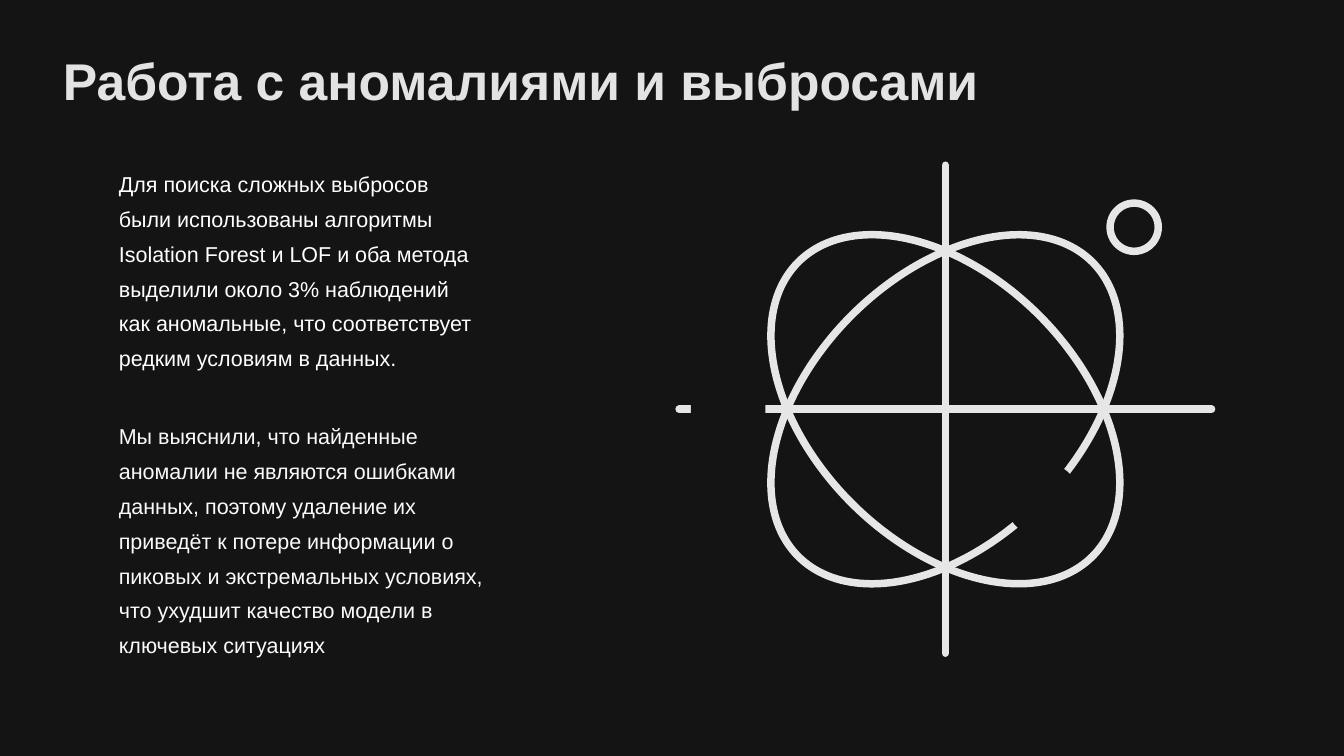
from lxml.etree import SubElement
from pptx import Presentation
from pptx.dml.color import RGBColor
from pptx.enum.shapes import MSO_CONNECTOR, MSO_SHAPE
from pptx.enum.text import MSO_ANCHOR, MSO_AUTO_SIZE, PP_ALIGN
from pptx.oxml.ns import qn
from pptx.util import Pt

BACKGROUND = "141414"
STROKE = "E6E6E6"
STROKE_WIDTH = 8.71
HALO_WIDTH = 47.68
HEADING = "Работа с аномалиями и выбросами"
METHODS = (
    "Для поиска сложных выбросов были использованы алгоритмы Isolation Forest и LOF "
    "и оба метода выделили около 3% наблюдений как аномальные, что соответствует "
    "редким условиям в данных."
)
CONCLUSION = (
    "Мы выяснили, что найденные аномалии не являются ошибками данных, поэтому удаление "
    "их приведёт к потере информации о пиковых и экстремальных условиях, что ухудшит "
    "качество модели в ключевых ситуациях"
)


def color(hex_value):
    """Turn a hex string into a colour."""
    return RGBColor.from_string(hex_value)


def write_text(holder, box, wording, size, hex_value, spacing, bold=False):
    """Place a text placeholder in its box and format its one paragraph."""
    holder.left, holder.top, holder.width, holder.height = map(Pt, box)
    frame = holder.text_frame
    frame.text = wording
    frame.word_wrap = True
    frame.auto_size = MSO_AUTO_SIZE.NONE
    frame.vertical_anchor = MSO_ANCHOR.TOP
    frame.margin_left = frame.margin_right = Pt(7.2)
    frame.margin_top = frame.margin_bottom = Pt(7.2)
    paragraph = frame.paragraphs[0]
    paragraph.alignment = PP_ALIGN.LEFT
    paragraph.line_spacing = spacing
    paragraph.space_before = paragraph.space_after = Pt(0)
    properties = paragraph._p.get_or_add_pPr()
    properties.set("marL", "0")
    properties.set("indent", "0")
    SubElement(properties, qn("a:buNone"))
    font = paragraph.runs[0].font
    font.name, font.size, font.bold = "Arial", Pt(size), bold
    font.color.rgb = color(hex_value)


def add_oval(slide, center, size, rotation=0):
    """Draw an outlined oval around a centre."""
    (x, y), (width, height) = center, size
    oval = slide.shapes.add_shape(
        MSO_SHAPE.OVAL, Pt(x - width / 2), Pt(y - height / 2), Pt(width), Pt(height)
    )
    oval.shadow.inherit = False
    oval.rotation = rotation
    oval.fill.background()
    oval.line.color.rgb = color(STROKE)
    oval.line.width = Pt(STROKE_WIDTH)
    return oval


def add_gap(slide, center):
    """Draw a dot whose wide dark halo interrupts the lines beneath it."""
    dot = add_oval(slide, center, (39.5, 39.5))
    dot.fill.solid()
    dot.fill.fore_color.rgb = color(STROKE)
    dot.line.color.rgb = color(BACKGROUND)
    dot.line.width = Pt(HALO_WIDTH)


def add_axis(slide, start, end):
    """Draw a straight axis with round ends."""
    axis = slide.shapes.add_connector(MSO_CONNECTOR.STRAIGHT, *map(Pt, (*start, *end)))
    axis.line.color.rgb = color(STROKE)
    axis.line.width = Pt(STROKE_WIDTH)
    axis.line._get_or_add_ln().set("cap", "rnd")
    SubElement(axis._element.spPr, qn("a:effectLst"))


def draw_orbits(slide, box):
    """Draw crossed orbits, axes, gaps and the outlying ring in the box."""
    left, top, width, height = box
    x, y = left + width / 2, top + height / 2
    for rotation in (45, -45):
        add_oval(slide, (x, y), (483.6, 308.5), rotation)
    add_gap(slide, (x + 113, y + 105))
    add_oval(slide, (x + 219.5, y - 211.5), (56, 56))
    add_axis(slide, (left + width, y), (left, y))
    add_axis(slide, (x, top), (x, top + height))
    add_gap(slide, (x - 252.5, y))


def build_slide(deck):
    """Build the slide with its heading, two texts and orbit drawing."""
    slide = deck.slides.add_slide(deck.slide_layouts[3])
    slide.background.fill.solid()
    slide.background.fill.fore_color.rgb = color(BACKGROUND)
    heading, methods, conclusion = slide.placeholders
    write_text(heading, (66, 38.5, 1100, 153), HEADING, 60, "E3E3E3", 1.15, bold=True)
    write_text(methods, (131, 181, 434, 250), METHODS, 25, "FFFFFF", 1.35)
    write_text(conclusion, (131, 474, 466, 292), CONCLUSION, 25, "FAFAFA", 1.35)
    draw_orbits(slide, (789.5, 192, 619, 567))


def main():
    """Create and save the presentation."""
    deck = Presentation()
    deck.slide_width, deck.slide_height = Pt(1562.4), Pt(878.4)
    build_slide(deck)
    deck.save("out.pptx")


if __name__ == "__main__":
    main()
